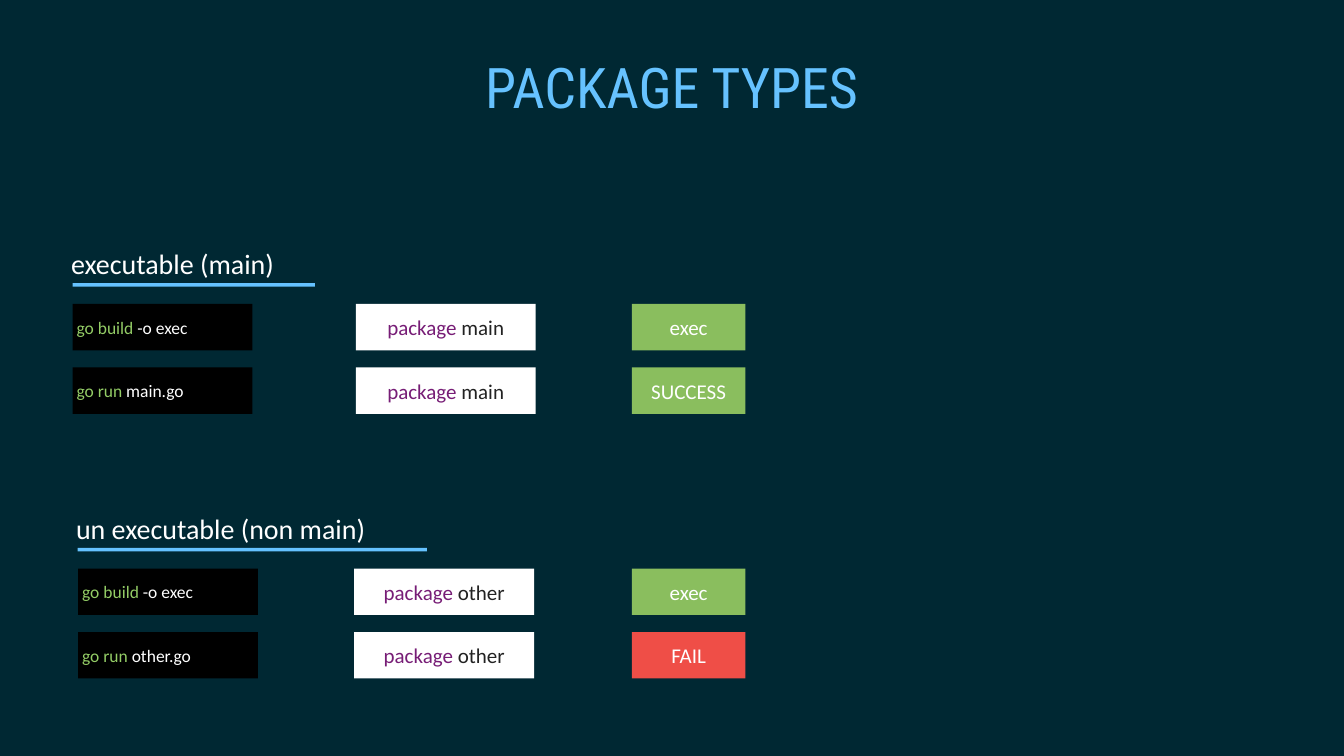
import pptx
import pptx.util
import pptx.dml.color
import pptx.enum.shapes
import pptx.enum.text

SCALE = 9144
THEME = {
    "background": "002833", "title": "66C2FF", "rule": "65C2FF",
    "terminal": "000000", "command": "94CD66", "white": "FFFFFF",
    "keyword": "771D76", "ink": "222222", "success": "8ABE5E", "fail": "EF4E47",
    "title_font": "Roboto Condensed", "font": "Calibri",
    "title_size": 80, "heading_size": 40, "box_size": 30, "command_size": 25,
}
ALIGN = pptx.enum.text.PP_ALIGN
ANCHOR = pptx.enum.text.MSO_ANCHOR


def write(s, runs, size, align, anchor=ANCHOR.MIDDLE, font="font"):
    tf = s.text_frame
    tf.word_wrap = True
    tf.auto_size = pptx.enum.text.MSO_AUTO_SIZE.NONE
    tf.vertical_anchor = anchor
    tf.margin_left = tf.margin_right = tf.margin_top = tf.margin_bottom = 8 * SCALE
    p = tf.paragraphs[0]
    p.alignment = align
    for text, color in runs:
        r = p.add_run()
        r.text = text
        r.font.name = THEME[font]
        r.font.size = pptx.util.Pt(THEME[size])
        r.font.color.rgb = pptx.dml.color.RGBColor.from_string(THEME[color])
    return p


def add_box(x, y, w, h, fill):
    s = slide.shapes.add_shape(
        pptx.enum.shapes.MSO_SHAPE.RECTANGLE, x * SCALE, y * SCALE, w * SCALE, h * SCALE)
    s.shadow.inherit = False
    s.fill.solid()
    s.fill.fore_color.rgb = pptx.dml.color.RGBColor.from_string(THEME[fill])
    s.line.fill.background()
    return s


prs = pptx.Presentation()
prs.slide_width = 2667 * SCALE
prs.slide_height = 1500 * SCALE
slide = prs.slides.add_slide(prs.slide_layouts[5])
slide.background.fill.solid()
slide.background.fill.fore_color.rgb = pptx.dml.color.RGBColor.from_string(THEME["background"])

title = slide.shapes.title
title.left, title.top, title.width, title.height = [v * SCALE for v in (907, 122, 852, 187)]
p = write(title, [("PACKAGE TYPES", "title")], "title_size", ALIGN.CENTER,
          ANCHOR.TOP, "title_font")
p.line_spacing = 0.8

BOX_HEIGHT = 92
ROW_STEP = 126
sections = [
    ("executable (main)", 477, 133, 473, 144, 481, 144, 706, "main",
     [("go build", " -o exec", "exec", "success"),
      ("go run", " main.go", "SUCCESS", "success")]),
    ("un executable (non main)", 1002, 143, 664, 154, 693, 155, 703, "other",
     [("go build", " -o exec", "exec", "success"),
      ("go run", " other.go", "FAIL", "fail")]),
]

for (heading, top, heading_x, heading_w, rule_x, rule_w,
     command_x, package_x, package, rows) in sections:
    s = slide.shapes.add_textbox(
        heading_x * SCALE, top * SCALE, heading_w * SCALE, BOX_HEIGHT * SCALE)
    write(s, [(heading, "white")], "heading_size", ALIGN.LEFT)
    add_box(rule_x, top + 85, rule_w, 7, "rule")

    for i, (command, argument, result, result_fill) in enumerate(rows):
        y = top + 126 + i * ROW_STEP
        s = add_box(command_x, y, 357, BOX_HEIGHT, "terminal")
        write(s, [(command, "command"), (argument, "white")], "command_size", ALIGN.LEFT)
        s = add_box(package_x, y, 357, BOX_HEIGHT, "white")
        write(s, [("package ", "keyword"), (package, "ink")], "box_size", ALIGN.CENTER)
        s = add_box(1254, y, 225, BOX_HEIGHT, result_fill)
        write(s, [(result, "white")], "box_size", ALIGN.CENTER)

prs.save("out.pptx")
